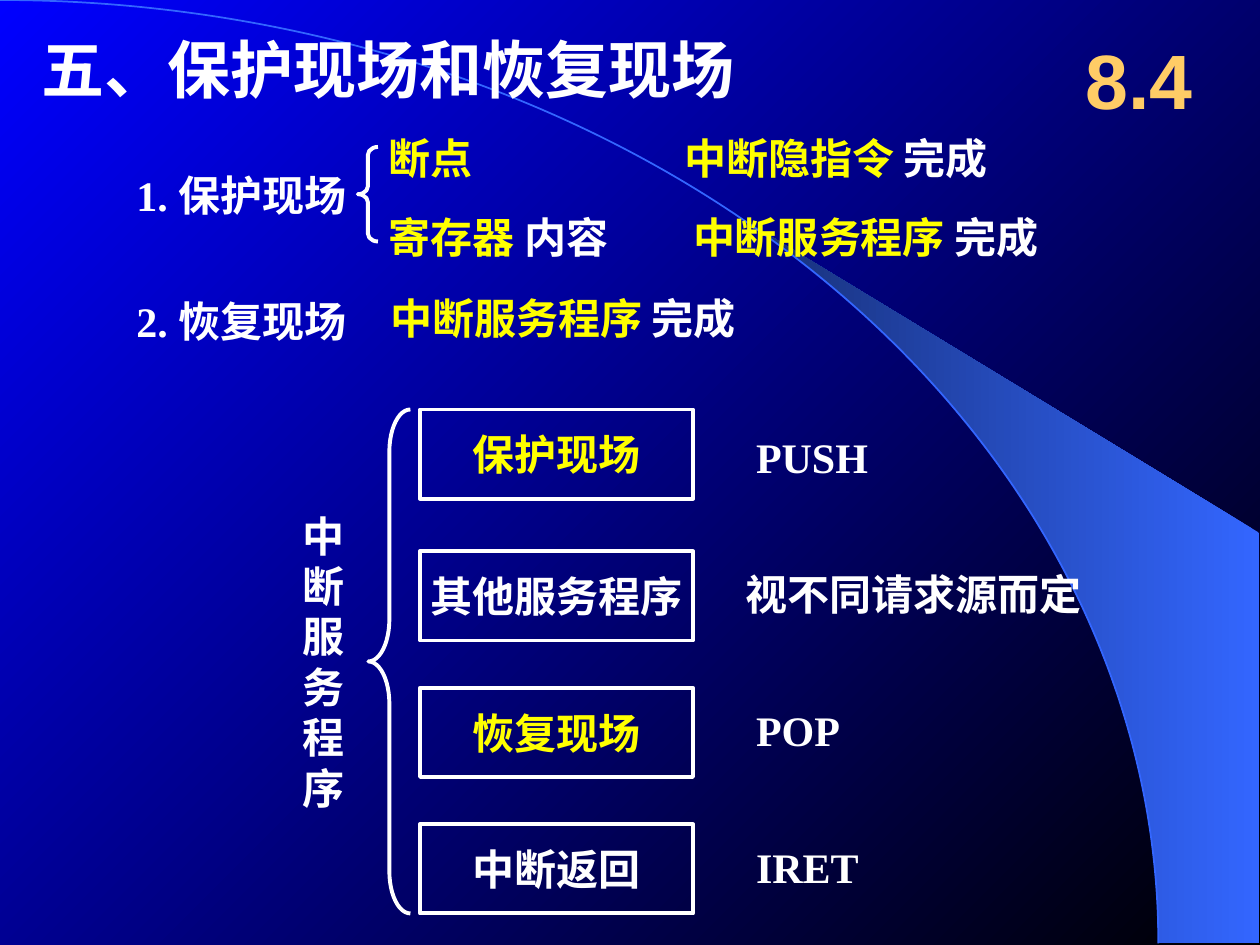
from math import acos, cos, sin

from pptx import Presentation
from pptx.dml.color import RGBColor
from pptx.enum.shapes import MSO_SHAPE
from pptx.enum.text import MSO_ANCHOR, PP_ALIGN
from pptx.util import Pt

COLOURS = {
    "white": "FFFFFF",
    "yellow": "FFFF00",
    "gold": "FFCC66",
    "black": "000000",
    "blue": "0000FF",
    "sky": "3366FF",
    "navy": "172F75",
}


def rgb(name):
    return RGBColor.from_string(COLOURS[name])


def paint_gradient(fill, start, end, angle):
    fill.gradient()
    fill.gradient_angle = angle
    for stop, position, name in zip(fill.gradient_stops, (0, 1), (start, end)):
        stop.position = position
        stop.color.rgb = rgb(name)


def write(shape, lines, size=24, font="Times New Roman", align=PP_ALIGN.LEFT,
          inset=0, wrap=False, anchor=MSO_ANCHOR.MIDDLE):
    frame = shape.text_frame
    frame.word_wrap = wrap
    frame.vertical_anchor = anchor
    frame.margin_left = frame.margin_right = Pt(inset)
    frame.margin_top = frame.margin_bottom = Pt(3.6)
    for index, line in enumerate(lines):
        paragraph = frame.add_paragraph() if index else frame.paragraphs[0]
        paragraph.alignment = align
        for words, colour in line:
            run = paragraph.add_run()
            run.text = words
            run.font.size = Pt(size)
            run.font.name = font
            run.font.bold = True
            run.font.color.rgb = rgb(colour)


def add_label(slide, box, *runs, **style):
    write(slide.shapes.add_textbox(*map(Pt, box)), [runs], **style)


def add_outline(slide, preset, box, colour="white", width=2.25):
    shape = slide.shapes.add_shape(preset, *map(Pt, box))
    shape.shadow.inherit = False
    shape.fill.background()
    shape.line.color.rgb = rgb(colour)
    shape.line.width = Pt(width)
    return shape


def add_brace(slide, box):
    width, height = box[2:]
    brace = add_outline(slide, MSO_SHAPE.LEFT_BRACE, box)
    brace.adjustments[0] = height / 12 / width


def draw_backdrop(slide, box):
    left, top, width, height = box
    paint_gradient(slide.background.fill, "black", "blue", 135)
    radius_x, radius_y = width * 0.92, height
    first_angle = acos(0.64)
    steps = 24
    curve = []
    for step in range(steps + 1):
        angle = first_angle * (1 - step / steps)
        curve.append((Pt(left + radius_x * cos(angle)),
                      Pt(top + height - radius_y * sin(angle))))
    builder = slide.shapes.build_freeform(*curve[0], scale=1.0)
    right = left + width
    builder.add_line_segments(
        curve[1:] + [(Pt(right), Pt(top + height)), (Pt(right), Pt(top + 304.5))])
    beam = builder.convert_to_shape()
    beam.shadow.inherit = False
    beam.line.fill.background()
    paint_gradient(beam.fill, "sky", "navy", 180)
    add_outline(slide, MSO_SHAPE.ARC,
                (left - radius_x, top, radius_x * 2, radius_y * 2), "sky", 1)


def draw_heading(slide, box):
    left, top, width, height = box
    add_label(slide, (left, top + 6, 498, 42), ("五、保护现场和恢复现场", "white"), size=36)
    add_label(slide, (left + width - 90, top, 90, height), ("8.4", "gold"),
              size=44, font="Arial", align=PP_ALIGN.CENTER, inset=7.2, wrap=True)


def draw_steps(slide, box):
    left, top, width, height = box
    done = ("完成", "white")
    service = ("中断服务程序 ", "yellow")
    top_aligned = dict(inset=7.2, wrap=True, anchor=MSO_ANCHOR.TOP)
    add_label(slide, (left, top + 18, 138, 42), ("1. 保护现场", "white"))
    add_label(slide, (left, top + height - 42, 144, 42), ("2. 恢复现场", "white"))
    add_brace(slide, (left + 126.5, top + 12, 11.5, 54))
    add_label(slide, (left + 144, top, 78, 36), ("断点", "yellow"))
    add_label(slide, (left + 144, top + 42, 156, 42),
              ("寄存器 ", "yellow"), ("内容", "white"))
    add_label(slide, (left + 306, top, 258, 36), ("中断隐指令 ", "yellow"), done,
              **top_aligned)
    add_label(slide, (left + 318, top + 42, 300, 42), service, done)
    add_label(slide, (left + 138, top + 91.5, 240, 36), service, done, **top_aligned)


def draw_routine(slide, box):
    left, top, width, height = box
    caption = slide.shapes.add_textbox(Pt(left), Pt(top + 54), Pt(38), Pt(180))
    write(caption, [[(character, "white")] for character in "中断服务程序"],
          inset=7.2, anchor=MSO_ANCHOR.TOP)
    add_brace(slide, (left + 44.5, top, 24, height))
    stages = [
        ("保护现场", "yellow", 0, "PUSH", 266),
        ("其他服务程序", "white", 81, "视不同请求源而定", 260),
        ("恢复现场", "yellow", 159, "POP", 266),
        ("中断返回", "white", 237, "IRET", 266),
    ]
    for row, (stage, colour, offset, note, indent) in enumerate(stages):
        frame = add_outline(slide, MSO_SHAPE.RECTANGLE,
                            (left + 74, top + offset, 156, 51))
        write(frame, [[(stage, colour)]], align=PP_ALIGN.CENTER)
        add_label(slide, (left + indent, top + 6 + 78 * row, width - indent, 42),
                  (note, "white"))


def main():
    deck = Presentation()
    deck.slide_width, deck.slide_height = Pt(720), Pt(540)
    slide = deck.slides.add_slide(deck.slide_layouts[6])
    draw_backdrop(slide, (0, 0, 719.5, 539))
    draw_heading(slide, (24, 12, 672, 66))
    draw_steps(slide, (78, 72, 618, 132))
    draw_routine(slide, (166, 234, 464, 288))
    deck.save("out.pptx")


if __name__ == "__main__":
    main()
